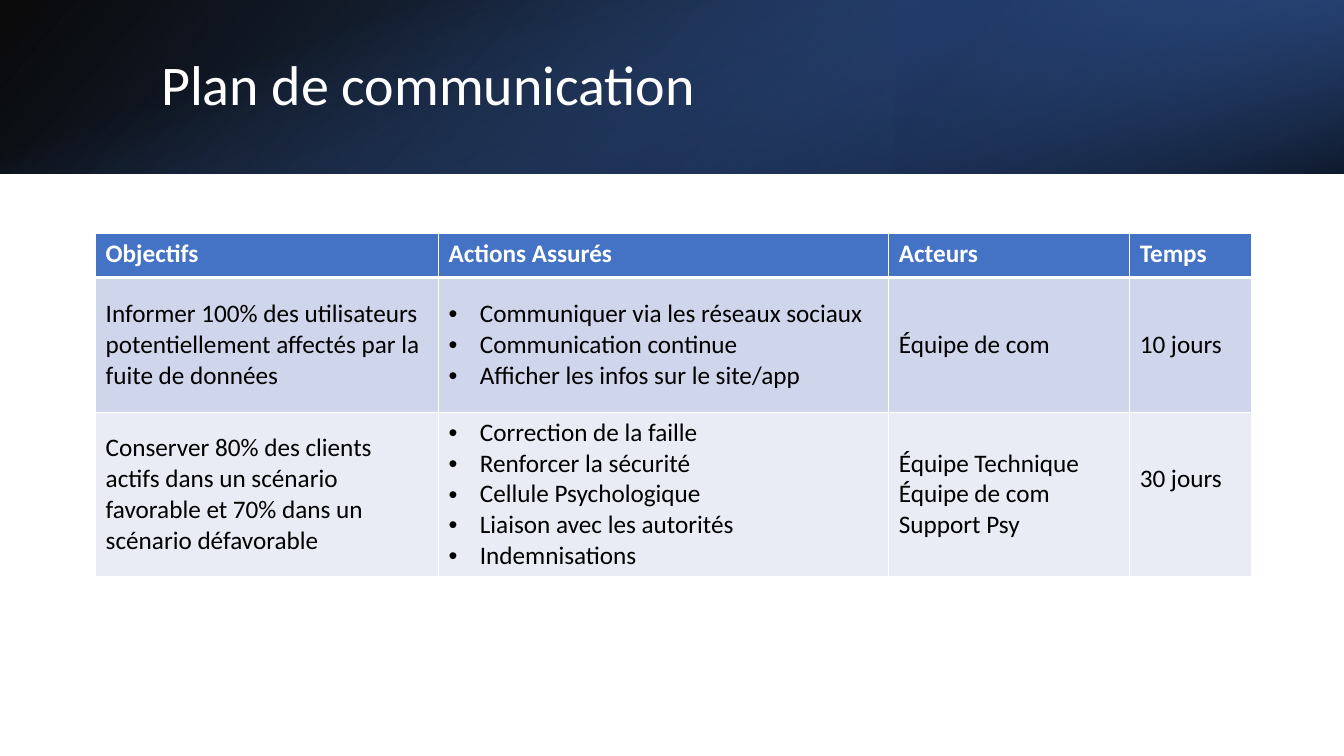
import pptx
import pptx.util
import pptx.dml.color
import pptx.enum.shapes
import pptx.enum.text
import pptx.oxml.ns
from lxml import etree

Cm, Pt = pptx.util.Cm, pptx.util.Pt
qn = pptx.oxml.ns.qn
MID = pptx.enum.text.MSO_ANCHOR.MIDDLE
TOP = pptx.enum.text.MSO_ANCHOR.TOP

# Content
TITLE = "Plan de communication"
HEADS = ["Objectifs", "Actions Assurés", "Acteurs", "Temps"]
ROWS = [
    ["Informer 100% des utilisateurs potentiellement affectés par la fuite de données",
     ["Communiquer via les réseaux sociaux", "Communication continue",
      "Afficher les infos sur le site/app"],
     "Équipe de com", "10 jours"],
    ["Conserver 80% des clients actifs dans un scénario favorable et 70% dans un "
     "scénario défavorable",
     ["Correction de la faille", "Renforcer la sécurité", "Cellule Psychologique",
      "Liaison\u00a0avec les autorités", "Indemnisations"],
     "Équipe Technique\nÉquipe de com\nSupport Psy", "30 jours"],
]
COLORS = {"white": "FFFFFF", "black": "000000", "blue": "4472C4", "navy": "203864",
          "deep": "2F5597", "odd": "CFD5EA", "even": "E9EBF5"}
FONT = "Calibri"

# Sizes in cm
WIDE, HIGH, BAND = 33.87, 19.05, 4.38
COLS = [8.64, 11.35, 6.07, 3.07]
TALL = [1.12, 3.4, 4.11]

# Banner layers: left, top, width, height, turn, flip, angle, (stop, color, opacity)
LAYERS = [
    (0, 0, WIDE, BAND, 0, True, 140, [(0, "black", 96), (100, "deep", 100)]),
    (WIDE * 2 / 3, 0, WIDE / 3, BAND, 180, True, 320,
     [(19, "navy", 68), (100, "blue", 79)]),
    ((WIDE - BAND) / 2, (BAND - WIDE) / 2, BAND, WIDE, 90, False, 340,
     [(23, "blue", 0), (99, "black", 74)]),
]


def rgb(name):
    return pptx.dml.color.RGBColor.from_string(COLORS[name])


def style(frame, size, color, bold=False):
    for para in frame.paragraphs:
        for run in para.runs:
            run.font.name, run.font.size = FONT, Pt(size)
            run.font.bold, run.font.color.rgb = bold, rgb(color)


def add_layer(slide, left, top, width, height, turn, flip, angle, stops):
    shape = slide.shapes.add_shape(pptx.enum.shapes.MSO_SHAPE.RECTANGLE,
                                   Cm(left), Cm(top), Cm(width), Cm(height))
    shape.shadow.inherit = False
    shape.line.fill.background()
    shape.rotation = turn
    if flip:
        shape.element.spPr.find(qn("a:xfrm")).set("flipH", "1")
    shape.fill.gradient()
    shape.fill.gradient_angle = 360 - angle
    for stop, (place, color, _) in zip(shape.fill.gradient_stops, stops):
        stop.position, stop.color.rgb = place / 100, rgb(color)
    for node, (_, _, alpha) in zip(shape.element.spPr.iter(qn("a:srgbClr")), stops):
        etree.SubElement(node, qn("a:alpha")).set("val", str(alpha * 1000))


def add_edges(cell, row):
    props = cell._tc.get_or_add_tcPr()
    for side in "LRTB":
        thick = (row, side) in [(0, "B"), (1, "T")]
        line = etree.SubElement(props, qn("a:ln" + side), w=str(Pt(3 if thick else 1)))
        fill = etree.SubElement(line, qn("a:solidFill"))
        etree.SubElement(fill, qn("a:srgbClr"), val=COLORS["white"])


def add_bullets(frame):
    for para in frame.paragraphs:
        props = para._p.get_or_add_pPr()
        props.set("marL", str(Cm(0.79)))
        props.set("indent", str(-Cm(0.79)))
        etree.SubElement(props, qn("a:buFont"), typeface="Arial")
        etree.SubElement(props, qn("a:buChar"), char="•")


def fill_cell(cell, row, item):
    add_edges(cell, row)
    cell.fill.solid()
    cell.fill.fore_color.rgb = rgb(["blue", "odd", "even"][row])
    cell.vertical_anchor = MID if row else TOP
    listed = isinstance(item, list)
    cell.text_frame.text = "\n".join(item) if listed else item
    if listed:
        add_bullets(cell.text_frame)
    style(cell.text_frame, 18, "black" if row else "white", not row)


def main():
    deck = pptx.Presentation()
    deck.slide_width, deck.slide_height = Cm(WIDE), Cm(HIGH)
    slide = deck.slides.add_slide(deck.slide_layouts[5])

    # Banner
    for layer in LAYERS:
        add_layer(slide, *layer)

    # Title, moved in front of the banner
    title = slide.shapes.title
    title.left, title.top, title.width, title.height = Cm(3.81), Cm(0.97), Cm(27.89), Cm(2.44)
    slide.shapes.element.append(title.element)
    frame = title.text_frame
    frame.text = TITLE
    frame.vertical_anchor = MID
    frame.paragraphs[0].alignment = pptx.enum.text.PP_ALIGN.LEFT
    frame.paragraphs[0].line_spacing = 0.9
    style(frame, 40, "white")

    # Table
    grid = slide.shapes.add_table(len(TALL), len(COLS), Cm(2.41), Cm(5.87),
                                  Cm(sum(COLS)), Cm(sum(TALL))).table
    for col, width in zip(grid.columns, COLS):
        col.width = Cm(width)
    for row, height in zip(grid.rows, TALL):
        row.height = Cm(height)
    for r, items in enumerate([HEADS] + ROWS):
        for c, item in enumerate(items):
            fill_cell(grid.cell(r, c), r, item)
    # The last duration sits a little above the middle
    grid.cell(2, 3).margin_bottom = Cm(0.9)

    deck.save("out.pptx")


if __name__ == "__main__":
    main()
